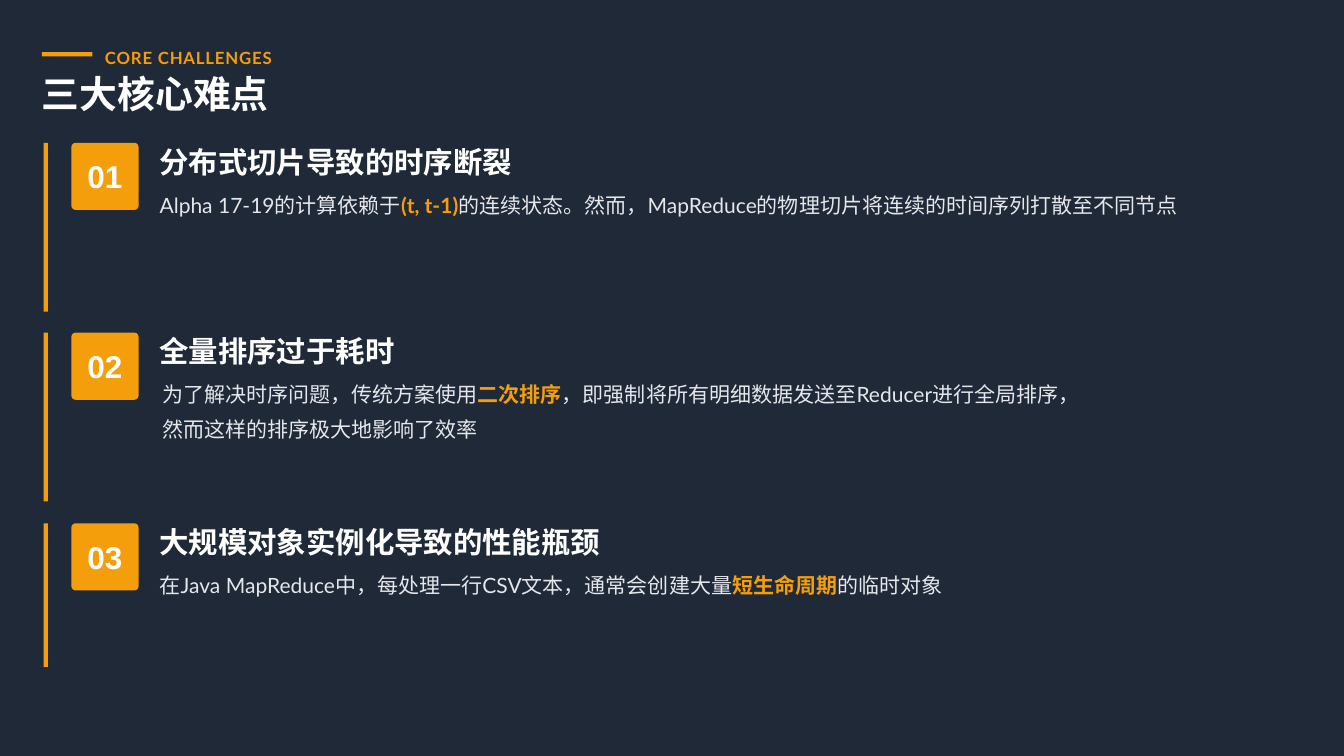
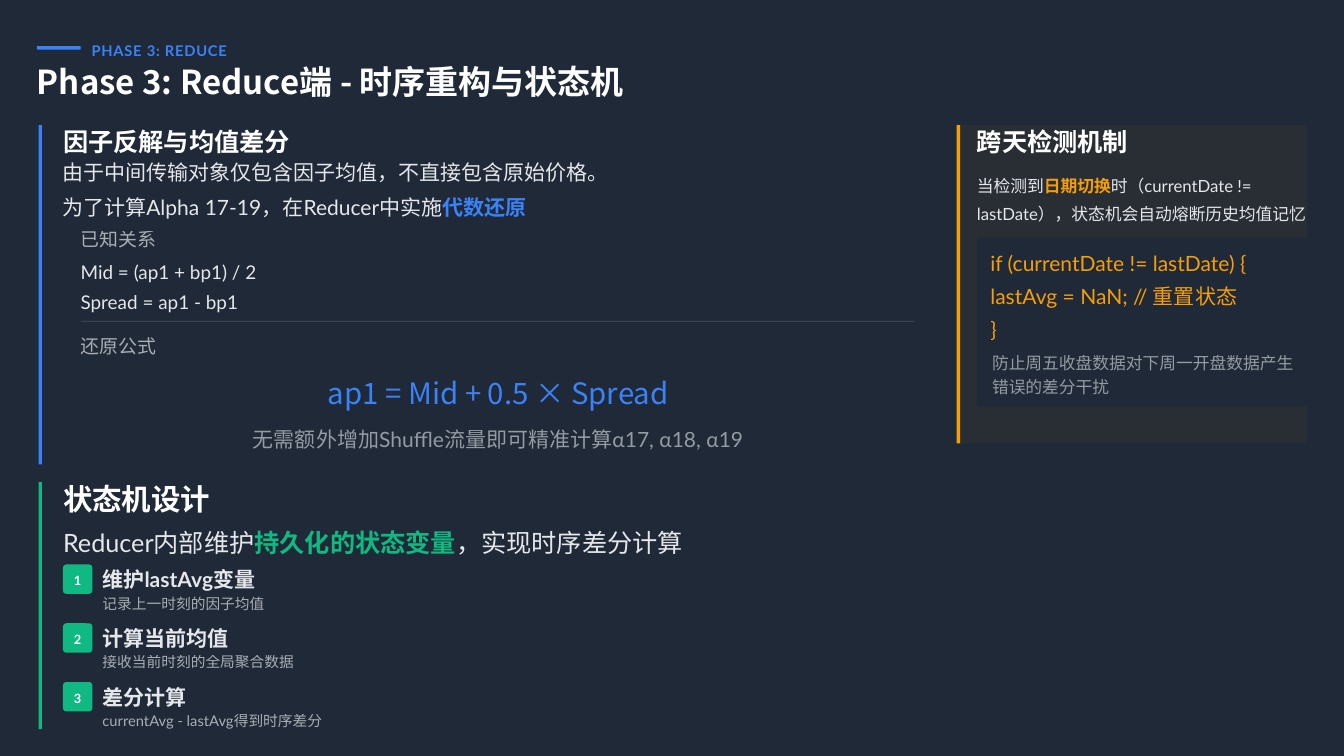
import dataclasses

import pptx
import pptx.dml.color
import pptx.enum.lang
import pptx.enum.shapes
import pptx.enum.text
import pptx.oxml.ns
import pptx.util
from lxml import etree

EMU_PER_PX = 10160
SHAPE = pptx.enum.shapes.MSO_SHAPE
ALIGN = pptx.enum.text.PP_ALIGN
ANCHOR = pptx.enum.text.MSO_ANCHOR
CHINESE = pptx.enum.lang.MSO_LANGUAGE_ID.SIMPLIFIED_CHINESE


@dataclasses.dataclass(frozen=True)
class Theme:
    night: str = "1F2937"
    white: str = "FFFFFF"
    mist: str = "E5E7EB"
    amber: str = "F59E0B"
    blue: str = "3B82F6"
    green: str = "10B981"
    latin: str = "Lato"
    chinese: str = "Noto Sans CJK SC"
    numeral: str = "Arial"
    title: float = 36
    title_compact: float = 31.4
    badge: float = 30
    step_badge: float = 12.2
    heading: float = 28
    subheading: float = 24
    body: float = 20
    relation: float = 18
    detail: float = 16
    caption: float = 14


THEME = Theme()


@dataclasses.dataclass(frozen=True)
class Style:
    size: float
    color: str = THEME.mist
    bold: bool = False
    face: str = THEME.latin
    spacing: float = 1.3
    align: ALIGN = ALIGN.LEFT
    opacity: int = 100
    tracking: int = 0
    padding: int = 0


def heading_style(size):
    return Style(size, THEME.white, True, spacing=1.1)


def body_style(size):
    return Style(size, spacing=1.4)


def px(*lengths):
    return [pptx.util.Emu(length * EMU_PER_PX) for length in lengths]


def apply(target, values):
    for attribute, value in values.items():
        setattr(target, attribute, value)


def paint(fill, owner, color, opacity=100):
    fill.solid()
    fill.fore_color.rgb = pptx.dml.color.RGBColor.from_string(color)
    if opacity < 100:
        tint = owner.find(".//" + pptx.oxml.ns.qn("a:srgbClr"))
        etree.SubElement(tint, pptx.oxml.ns.qn("a:alpha"), val=str(opacity * 1000))


def add_block(slide, box, color, opacity=100, radius=0):
    kind = SHAPE.ROUNDED_RECTANGLE if radius else SHAPE.RECTANGLE
    block = slide.shapes.add_shape(kind, *px(*box))
    if radius:
        block.adjustments[0] = radius / min(box[2:])
    block.shadow.inherit = False
    block.line.fill.background()
    paint(block.fill, block._element.spPr, color, opacity)


def add_run(paragraph, words, style, highlight=None):
    run = paragraph.add_run()
    run.text = words
    apply(run.font, {
        "name": style.face,
        "size": pptx.util.Pt(style.size),
        "bold": style.bold or highlight is not None,
        "language_id": CHINESE,
    })
    properties = run._r.get_or_add_rPr()
    paint(run.font.fill, properties, highlight or style.color, style.opacity)
    etree.SubElement(properties, pptx.oxml.ns.qn("a:ea"), typeface=style.face)
    if style.tracking:
        properties.set("spc", str(style.tracking))


def add_text(slide, box, style, *paragraphs, accent=None):
    """Odd pieces of a paragraph take the accent."""
    frame = slide.shapes.add_textbox(*px(*box)).text_frame
    padding = px(style.padding)[0]
    apply(frame, {
        "word_wrap": True,
        "vertical_anchor": ANCHOR.MIDDLE,
        "margin_left": 0,
        "margin_right": 0,
        "margin_top": padding,
        "margin_bottom": padding,
    })
    for index, pieces in enumerate(paragraphs):
        paragraph = frame.add_paragraph() if index else frame.paragraphs[0]
        apply(paragraph, {"alignment": style.align, "line_spacing": style.spacing})
        pieces = [pieces] if isinstance(pieces, str) else pieces
        for position, words in enumerate(pieces):
            add_run(paragraph, words, style, accent if position % 2 else None)


def add_badge(slide, box, color, radius, overhang, number, style):
    left, top, width, height = box
    add_block(slide, box, color, radius=radius)
    add_text(slide, (left - overhang, top, width + 2 * overhang, height), style, number)


def add_section(slide, bar, color, heading_box, size, heading):
    add_block(slide, bar, color)
    add_text(slide, heading_box, heading_style(size), heading)


def start_slide(deck, color, dash, label_box, label_size, label, title_box, title_size, title):
    slide = deck.slides.add_slide(deck.slide_layouts[6])
    paint(slide.background.fill, slide._element, THEME.night)
    add_block(slide, dash, color)
    add_text(slide, label_box,
             Style(label_size, color, True, tracking=round(label_size * 5)), label)
    add_text(slide, title_box,
             Style(title_size, THEME.white, True, THEME.chinese, 0.9), title)
    return slide


def build_challenges(deck):
    slide = start_slide(
        deck, THEME.amber, (50, 62, 60, 5),
        (125, 50, 214, 30), THEME.detail, "CORE CHALLENGES",
        (50, 90, 1523, 50), THEME.title, "三大核心难点")
    numeral = Style(THEME.badge, THEME.white, True, THEME.numeral, 1.0, ALIGN.CENTER)
    challenges = [
        (201, "分布式切片导致的时序断裂", (190, 50, 1372, 36),
         ("Alpha 17-19的计算依赖于", "(t, t-1)",
          "的连续状态。然而，MapReduce的物理切片将连续的时间序列打散至不同节点")),
        (201, "全量排序过于耗时", (193, 70, 1116, 36),
         ("为了解决时序问题，传统方案使用", "二次排序",
          "，即强制将所有明细数据发送至Reducer进行全局排序，然而这样的排序极大地影响了效率")),
        (171, "大规模对象实例化导致的性能瓶颈", (190, 50, 1372, 36),
         ("在Java MapReduce中，每处理一行CSV文本，通常会创建大量", "短生命周期",
          "的临时对象")),
    ]
    for index, (bar_height, heading, body_box, body) in enumerate(challenges):
        top = 170 + index * 453 // 2
        left, drop, width, height = body_box
        add_section(slide, (52, top, 5, bar_height), THEME.amber,
                    (190, top, 1375, 40), THEME.heading, heading)
        add_badge(slide, (85, top, 80, 80), THEME.amber, 5, 9, f"{index + 1:02}", numeral)
        add_text(slide, (left, top + drop, width, height),
                 body_style(THEME.body), body, accent=THEME.amber)


def add_factor_section(slide):
    add_section(slide, (46, 149, 4, 404), THEME.blue,
                (75, 149, 1049, 35), THEME.subheading, "因子反解与均值差分")
    add_text(slide, (74, 204, 630, 32), body_style(THEME.body),
             ("由于中间传输对象仅包含因子均值，不直接包含原始价格。"
              "为了计算Alpha 17-19，在Reducer中实施", "代数还原"), accent=THEME.blue)
    relation = Style(THEME.relation)
    caption = dataclasses.replace(relation, opacity=70)
    for top, words, style in [
        (268, "已知关系", caption),
        (307, "Mid = (ap1 + bp1) / 2", relation),
        (342, "Spread = ap1 - bp1", relation),
        (395, "还原公式", caption),
    ]:
        add_text(slide, (96, top, 1002, 26), style, words)
    add_block(slide, (96, 382, 993, 1), THEME.mist, opacity=20)
    formula = Style(THEME.heading, THEME.blue, face=THEME.chinese, spacing=1.2,
                    align=ALIGN.CENTER, padding=14)
    add_text(slide, (91, 435, 1004, 57), formula, "ap1 = Mid + 0.5 × Spread")
    add_text(slide, (92, 505, 1002, 26),
             Style(THEME.body, align=ALIGN.CENTER, opacity=60),
             "无需额外增加Shuffle流量即可精准计算α17, α18, α19")


def add_state_section(slide):
    add_section(slide, (46, 574, 4, 294), THEME.green,
                (75, 574, 1049, 35), THEME.heading, "状态机设计")
    add_text(slide, (75, 623, 1047, 32), body_style(THEME.subheading),
             ("Reducer内部维护", "持久化的状态变量", "，实现时序差分计算"),
             accent=THEME.green)
    numeral = Style(THEME.step_badge, THEME.white, True, spacing=1.2, align=ALIGN.CENTER)
    steps = [
        ("维护lastAvg变量", "记录上一时刻的因子均值"),
        ("计算当前均值", "接收当前时刻的全局聚合数据"),
        ("差分计算", "currentAvg - lastAvg得到时序差分"),
    ]
    for index, (action, explanation) in enumerate(steps):
        top = 672 + index * 70
        add_badge(slide, (75, top, 35, 35), THEME.green, 4, 4, str(index + 1), numeral)
        add_text(slide, (122, top, 997, 26), Style(THEME.body, bold=True), action)
        add_text(slide, (122, top + 30, 997, 26),
                 Style(THEME.caption, opacity=70), explanation)


def add_day_change_panel(slide):
    add_block(slide, (1139, 149, 417, 379), THEME.amber, opacity=5)
    add_section(slide, (1139, 149, 4, 379), THEME.amber,
                (1163, 149, 406, 35), THEME.subheading, "跨天检测机制")
    add_text(slide, (1163, 201, 403, 65), body_style(THEME.detail),
             ("当检测到", "日期切换",
              "时（currentDate != lastDate），状态机会自动熔断历史均值记忆"),
             accent=THEME.amber)
    add_block(slide, (1163, 283, 393, 201), THEME.night, radius=4)
    add_text(slide, (1179, 309, 367, 78), Style(THEME.body, THEME.amber),
             "if (currentDate != lastDate) {", "lastAvg = NaN; // 重置状态", "}")
    add_text(slide, (1181, 422, 366, 44), Style(THEME.detail, spacing=1.2, opacity=60),
             "防止周五收盘数据对下周一开盘数据产生错误的差分干扰")


def build_reduce_phase(deck):
    slide = start_slide(
        deck, THEME.blue, (44, 55, 52, 4),
        (109, 44, 172, 26), THEME.caption, "PHASE 3: REDUCE",
        (44, 78, 1533, 44), THEME.title_compact, "Phase 3: Reduce端 - 时序重构与状态机")
    add_factor_section(slide)
    add_state_section(slide)
    add_day_change_panel(slide)


def main():
    deck = pptx.Presentation()
    deck.slide_width, deck.slide_height = px(1600, 900)
    build_challenges(deck)
    build_reduce_phase(deck)
    deck.save("out.pptx")


if __name__ == "__main__":
    main()
